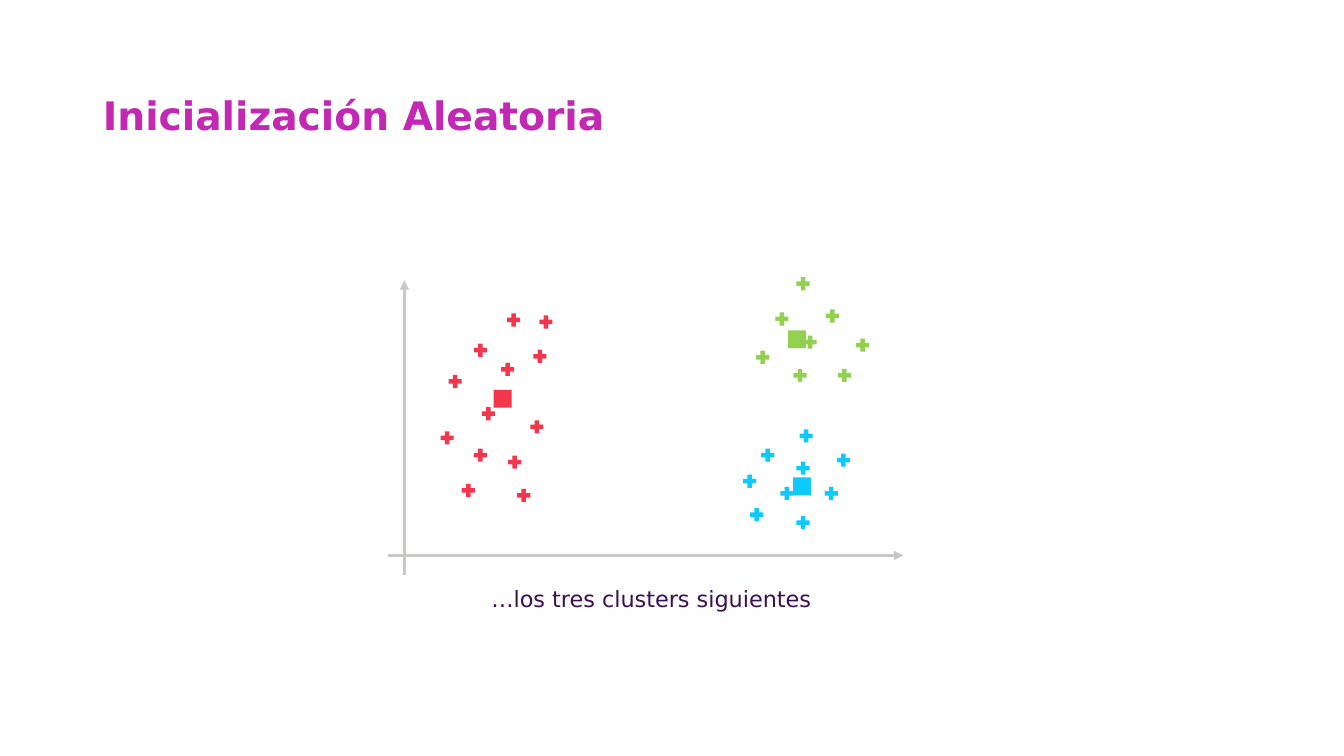
from dataclasses import dataclass

from lxml import etree
from pptx import Presentation
from pptx.dml.color import RGBColor
from pptx.enum.shapes import MSO_CONNECTOR, MSO_SHAPE
from pptx.enum.text import MSO_ANCHOR, MSO_AUTO_SIZE, PP_ALIGN
from pptx.oxml.ns import qn
from pptx.shapes.autoshape import Shape
from pptx.slide import Slide
from pptx.text.text import _Paragraph
from pptx.util import Inches, Pt

STRAIGHT = MSO_CONNECTOR.STRAIGHT
CROSS = MSO_SHAPE.CROSS
DIAMOND = MSO_SHAPE.DIAMOND
MIDDLE = MSO_ANCHOR.MIDDLE
FIT_SHAPE = MSO_AUTO_SIZE.SHAPE_TO_FIT_TEXT
LEFT = PP_ALIGN.LEFT
CENTER = PP_ALIGN.CENTER

MAGENTA = RGBColor(0xC2, 0x28, 0xB4)
PURPLE = RGBColor(0x3C, 0x0F, 0x53)
RED = RGBColor(0xF4, 0x36, 0x4C)
GREEN = RGBColor(0x92, 0xD0, 0x50)
BLUE = RGBColor(0x0D, 0xC9, 0xFD)
GRAY = RGBColor(0xC8, 0xC9, 0xC7)

FONT = "DejaVu Sans"
POINT_SIZE = 0.13
CENTROID_SIZE = 0.25

Position = tuple[float, float]


@dataclass(frozen=True)
class Cluster:
    """Left-top corners of a centroid and of the points assigned to it."""
    color: RGBColor
    centroid: Position
    points: tuple[Position, ...]


@dataclass(frozen=True)
class Axis:
    start: Position
    end: Position


CLUSTERS = (
    Cluster(RED, (4.86, 3.83), (
        (5.26, 4.17), (4.70, 4.45), (5.13, 4.85), (4.58, 4.80), (4.37, 4.28),
        (4.78, 4.04), (5.04, 4.52), (4.45, 3.72), (4.97, 3.60), (4.70, 3.41),
        (5.29, 3.47), (5.35, 3.13), (5.03, 3.11))),
    Cluster(BLUE, (7.83, 4.70), (
        (7.37, 4.71), (7.55, 4.45), (7.74, 4.83), (7.44, 5.04), (7.90, 5.12),
        (8.18, 4.83), (7.90, 4.58), (8.30, 4.50), (7.93, 4.26))),
    Cluster(GREEN, (7.78, 3.24), (
        (7.90, 2.75), (8.19, 3.07), (7.69, 3.10), (7.97, 3.33), (8.49, 3.36),
        (7.87, 3.66), (8.31, 3.66), (7.50, 3.48))),
)

AXES = (
    Axis((4.01, 5.70), (4.01, 2.78)),
    Axis((3.85, 5.51), (8.96, 5.51)),
)


def add_text(paragraph: _Paragraph, text: str, size: float,
             color: RGBColor, bold: bool = False) -> None:
    run = paragraph.add_run()
    run.text = text
    run.font.name = FONT
    run.font.size = Pt(size)
    run.font.bold = bold
    run.font.color.rgb = color


def add_marker(slide: Slide, kind: MSO_SHAPE, position: Position,
               size: float, color: RGBColor) -> Shape:
    left, top = position
    marker = slide.shapes.add_shape(
        kind, Inches(left), Inches(top), Inches(size), Inches(size))
    marker.shadow.inherit = False
    marker.fill.solid()
    marker.fill.fore_color.rgb = color
    marker.line.fill.background()
    return marker


def add_centroid(slide: Slide, cluster: Cluster) -> None:
    centroid = add_marker(slide, DIAMOND, cluster.centroid, CENTROID_SIZE, cluster.color)
    centroid.rotation = 315


def add_points(slide: Slide, cluster: Cluster) -> None:
    for position in cluster.points:
        point = add_marker(slide, CROSS, position, POINT_SIZE, cluster.color)
        point.adjustments[0] = 0.33


def add_axis(slide: Slide, axis: Axis) -> None:
    arrow = slide.shapes.add_connector(
        STRAIGHT, *map(Inches, axis.start), *map(Inches, axis.end))
    arrow.line.color.rgb = GRAY
    arrow.line.width = Pt(2.25)
    etree.SubElement(arrow.line._get_or_add_ln(), qn("a:tailEnd"), type="triangle")
    etree.SubElement(arrow._element.spPr, qn("a:effectLst"))


def add_title(slide: Slide) -> None:
    title = slide.shapes.title
    title.left, title.top = Inches(0.92), Inches(0.71)
    title.width, title.height = Inches(11.5), Inches(0.91)
    title.text_frame.vertical_anchor = MIDDLE
    heading = title.text_frame.paragraphs[0]
    heading.alignment = LEFT
    heading.line_spacing = 0.9
    add_text(heading, "Inicialización Aleatoria", 28, MAGENTA, bold=True)


def add_caption(slide: Slide) -> None:
    caption = slide.shapes.add_textbox(
        Inches(4.37), Inches(5.76), Inches(4.18), Inches(0.37)).text_frame
    caption.word_wrap = True
    caption.auto_size = FIT_SHAPE
    caption.margin_left = caption.margin_right = Inches(0.05)
    caption.margin_top = caption.margin_bottom = Inches(0.05)
    sentence = caption.paragraphs[0]
    sentence.alignment = CENTER
    add_text(sentence, "…los tres clusters siguientes", 16, PURPLE)


def main() -> None:
    presentation = Presentation()
    presentation.slide_width = Inches(13.33)
    presentation.slide_height = Inches(7.5)
    slide = presentation.slides.add_slide(presentation.slide_layouts[5])

    add_title(slide)

    # Scatter plot: centroids behind the axes, points in front
    for cluster in CLUSTERS:
        add_centroid(slide, cluster)
    for axis in AXES:
        add_axis(slide, axis)
    for cluster in CLUSTERS:
        add_points(slide, cluster)

    add_caption(slide)
    presentation.save("out.pptx")


if __name__ == "__main__":
    main()
